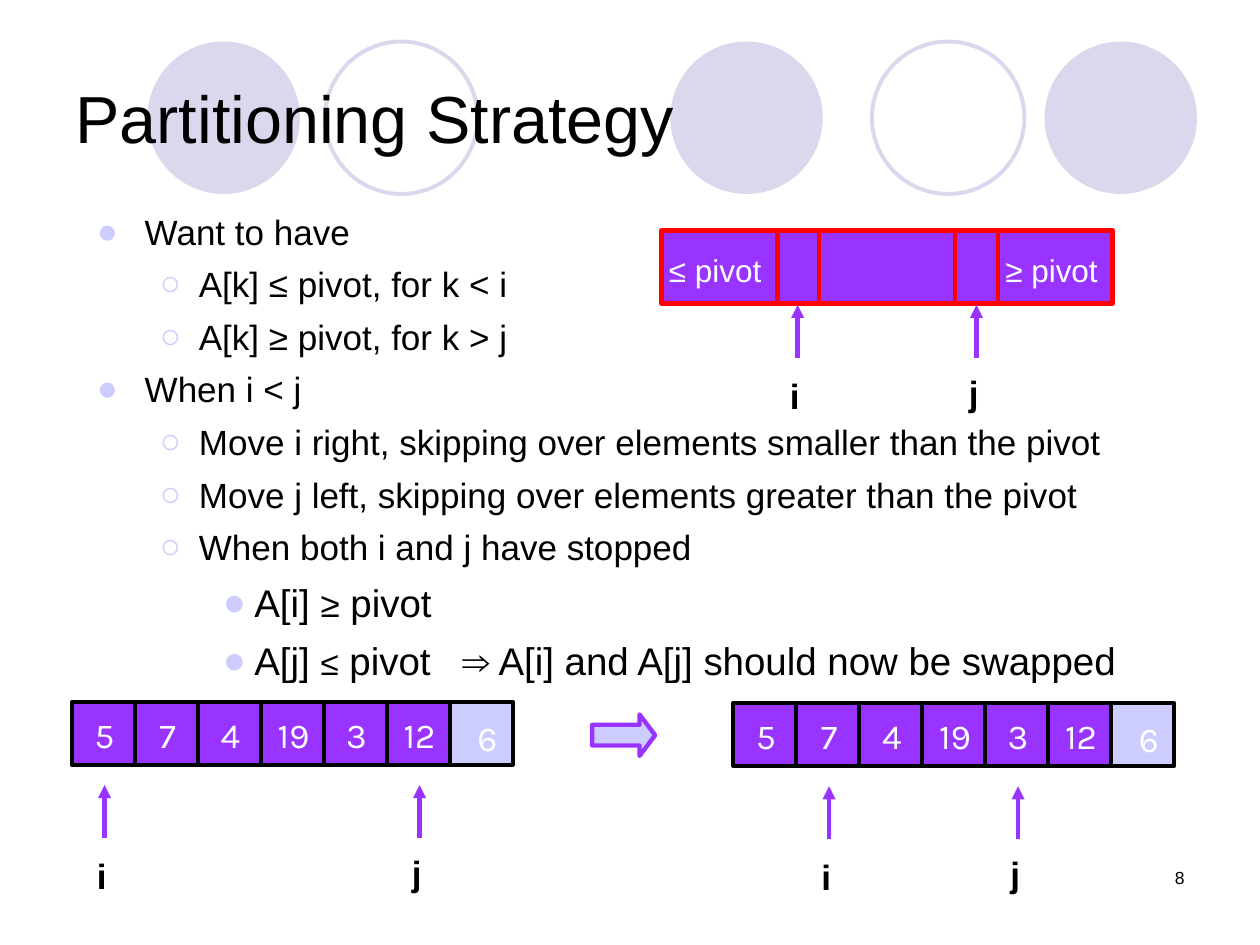
"""Build the Partitioning Strategy slide of a quicksort lecture."""
from lxml.etree import SubElement
from pptx import Presentation
from pptx.dml.color import RGBColor
from pptx.enum.shapes import MSO_CONNECTOR as CONN, MSO_SHAPE as SHAPE
from pptx.enum.text import MSO_ANCHOR as ANCHOR, PP_ALIGN as ALIGN
from pptx.oxml.ns import qn
from pptx.util import Inches, Pt

BLACK = RGBColor(0x00, 0x00, 0x00)
WHITE = RGBColor(0xFF, 0xFF, 0xFF)
RED = RGBColor(0xFF, 0x00, 0x00)
PURPLE = RGBColor(0x99, 0x33, 0xFF)
LILAC = RGBColor(0xCC, 0xCC, 0xFF)
PALE = RGBColor(0xD9, 0xD8, 0xEC)

CIRCLES = [(5.32, True), (8.29, True), (1.17, True), (6.92, False), (2.58, False)]
BULLETS = [
    (0, [("Want to have", 20)]),
    (1, [("A[k] ≤ pivot, for k < i", 20)]),
    (1, [("A[k] ≥ pivot, for k > j", 20)]),
    (0, [("When i < j", 20)]),
    (1, [("Move i right, skipping over elements smaller than the pivot", 20)]),
    (1, [("Move j left, skipping over elements greater than the pivot", 20)]),
    (1, [("When both i and j have stopped", 20)]),
    (2, [("A[i] ", 22), ("≥", 20), (" pivot", 22)]),
    (2, [("A[j] ", 22), ("≤", 19), (" pivot", 22), (" ", 22, 12),
         ("⇒ A[i] and A[j] should now be swapped", 22)]),
]
LEVELS = [("●", 0.38, 0.38, 6), ("○", 0.81, 0.31, 6), ("●", 1.25, 0.25, 6.7)]
VALUES = ["5", "7", "4", "19", "3", "12", "6"]
ARRAYS = [(0.57, 5.57, 0, 5), (5.82, 5.58, 1, 4)]
CELL = 0.5
BAR_X, BAR_Y, BAR_W, BAR_H = 5.25, 1.83, 3.58, 0.58
DIVIDERS = [6.17, 6.5, 7.58, 7.92]
BAR_LABELS = [("≤ pivot", 5.21), ("≥ pivot", 7.88)]
BAR_POINTERS = [("i", 6.33), ("j", 7.75)]
LABELS = {"i": (0.33, 0.5), "j": (0.42, 0.48)}

prs = Presentation()
prs.slide_width, prs.slide_height = Inches(10), Inches(7.5)
s = prs.slides.add_slide(prs.slide_layouts[6])


def add_run(p, text, size=20, font="Arial", color=BLACK, bold=False, spread=0):
    r = p.add_run()
    r.text = text
    r.font.size, r.font.name, r.font.bold = Pt(size), font, bold
    r.font.color.rgb = color
    if spread:
        r.font._element.set("spc", str(spread * 100))


def add_box(x, y, w, h, wrap=True, anchor=ANCHOR.TOP):
    tf = s.shapes.add_textbox(Inches(x), Inches(y), Inches(w), Inches(h)).text_frame
    tf.word_wrap, tf.vertical_anchor = wrap, anchor
    return tf


def add_label(text, x, y, w, h, align=ALIGN.LEFT, wrap=True, anchor=ANCHOR.TOP, **fmt):
    p = add_box(x, y, w, h, wrap, anchor).paragraphs[0]
    p.alignment = align
    add_run(p, text, **fmt)


def add_shape(kind, x, y, w, h, fill=None, line=None, width=2.25):
    sp = s.shapes.add_shape(kind, Inches(x), Inches(y), Inches(w), Inches(h))
    sp.shadow.inherit = False
    if fill is None:
        sp.fill.background()
    else:
        sp.fill.solid()
        sp.fill.fore_color.rgb = fill
    if line is None:
        sp.line.fill.background()
    else:
        sp.line.color.rgb, sp.line.width = line, Pt(width)
    return sp


def add_line(x, y1, y2, color, arrow=False):
    c = s.shapes.add_connector(CONN.STRAIGHT, Inches(x), Inches(y1), Inches(x), Inches(y2))
    c.line.color.rgb, c.line.width = color, Pt(2.5)
    if arrow:
        SubElement(c.line._get_or_add_ln(), qn("a:tailEnd"), type="triangle")
    SubElement(c._element.spPr, qn("a:effectLst"))


def add_pointer(name, x, tip):
    w, drop = LABELS[name]
    add_line(x, tip + 0.42, tip, PURPLE, arrow=True)
    add_label(name, x - 0.16, tip + drop, w, 0.44, bold=True)


def add_bullet(p, level):
    char, margin, hang, space = LEVELS[level]
    pPr = p._p.get_or_add_pPr()
    pPr.set("marL", str(Inches(margin)))
    pPr.set("indent", str(-Inches(hang)))
    SubElement(SubElement(pPr, qn("a:buClr")), qn("a:srgbClr"), val=str(LILAC))
    SubElement(pPr, qn("a:buFont"), typeface="Arial")
    SubElement(pPr, qn("a:buChar"), char=char)
    p.level = level
    return space


def add_array(x, y, i, j):
    for k, value in enumerate(VALUES):
        pivot = k == len(VALUES) - 1
        cell = add_shape(SHAPE.RECTANGLE, x + k * CELL, y, CELL, CELL,
                         LILAC if pivot else PURPLE, BLACK)
        tf = cell.text_frame
        tf.word_wrap, tf.vertical_anchor = False, ANCHOR.MIDDLE
        tf.margin_left, tf.margin_top = Inches(0.1 if pivot else 0.02), Inches(0.06 if pivot else 0.02)
        tf.margin_right = tf.margin_bottom = 0
        p = tf.paragraphs[0]
        p.alignment = ALIGN.CENTER
        add_run(p, value, font="Karla", color=WHITE)
    for name, k in (("i", i), ("j", j)):
        add_pointer(name, x + k * CELL + 0.26, y + 0.66)


for x, filled in CIRCLES:
    add_shape(SHAPE.OVAL, x, 0.33, 1.21, 1.21, PALE if filled else None, None if filled else PALE)

add_label("8", 7.17, 6.83, 2.33, 0.5, align=ALIGN.RIGHT, size=10)
add_label("Partitioning Strategy", 0.5, 0.3, 9, 1.25, anchor=ANCHOR.MIDDLE, size=38)

tf = add_box(0.67, 1.62, 8.92, 3.75)
for n, (level, runs) in enumerate(BULLETS):
    p = tf.add_paragraph() if n else tf.paragraphs[0]
    space = add_bullet(p, level)
    if n:
        p.space_before = Pt(space)
    for text, size, *spread in runs:
        add_run(p, text, size=size, spread=sum(spread))

arrow = add_shape(SHAPE.RIGHT_ARROW, 4.7, 5.67, 0.5, 0.33, LILAC, PURPLE, 2.5)
arrow.adjustments[1] = 0.375
for array in ARRAYS:
    add_array(*array)

add_shape(SHAPE.RECTANGLE, BAR_X, BAR_Y, BAR_W, BAR_H, PURPLE, RED, 2.5)
for x in DIVIDERS:
    add_line(x, BAR_Y, BAR_Y + BAR_H, RED)
for name, x in BAR_POINTERS:
    add_pointer(name, x, BAR_Y + BAR_H + 0.01)
for text, x in BAR_LABELS:
    add_label(text, x, 1.94, 0.99, 0.4, wrap=False, size=18, color=WHITE)

prs.save("out.pptx")
